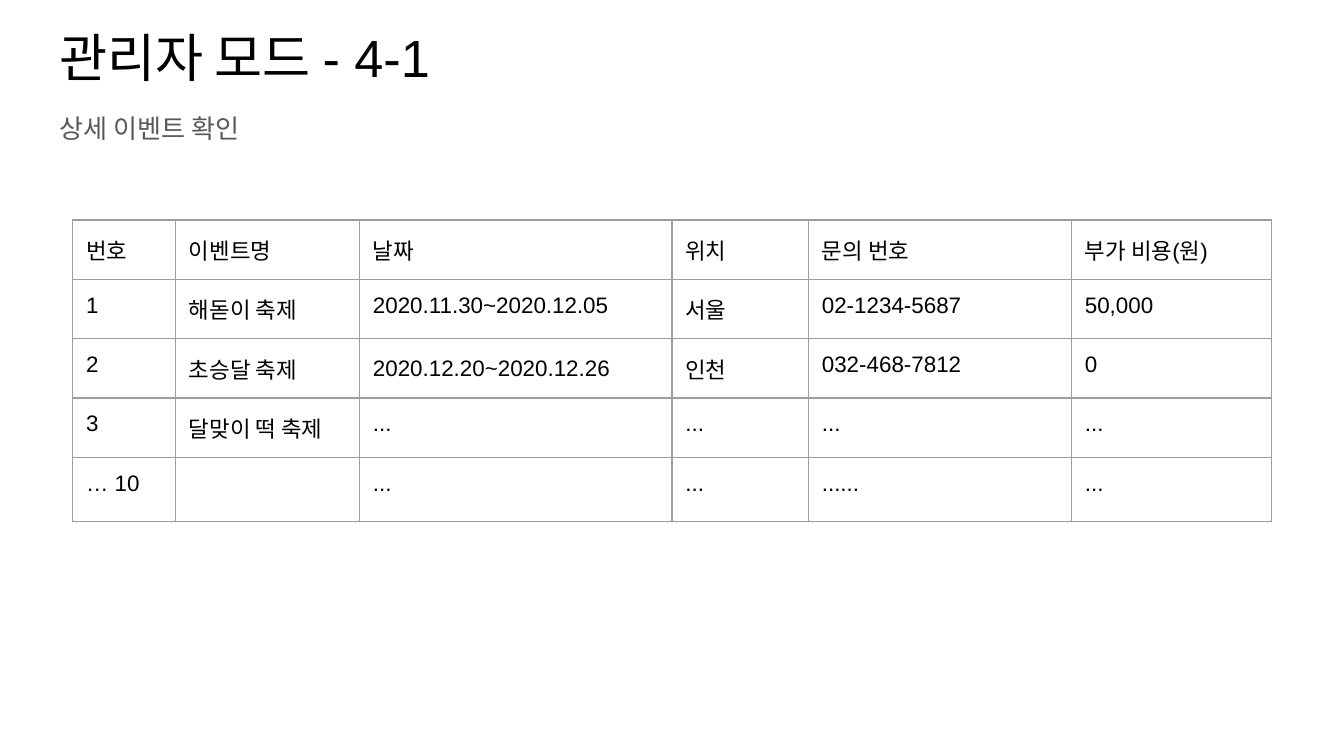
from dataclasses import dataclass

from lxml.etree import SubElement
from pptx import Presentation
from pptx.dml.color import RGBColor
from pptx.oxml.ns import qn
from pptx.util import Inches, Pt


@dataclass(frozen=True)
class Theme:
    font: str = "Arial"
    ink: str = "000000"
    muted: str = "595959"
    rule: str = "9E9E9E"
    rule_width: float = 0.75
    title_size: int = 28
    body_size: int = 14
    cell_size: int = 12
    inset: float = 0.1


def write(tf, text, *, font, size, color, spacing=None):
    p = tf.paragraphs[0]
    if spacing:
        p.line_spacing = spacing
    if not text:
        SubElement(p._p, qn("a:endParaRPr"), sz=str(size * 100))
        return
    r = p.add_run()
    r.text = text
    r.font.name = font
    r.font.size = Pt(size)
    r.font.color.rgb = RGBColor.from_string(color)


class Deck:
    def __init__(self, theme, width, height):
        self.theme = theme
        self.prs = Presentation()
        self.prs.slide_width = Inches(width)
        self.prs.slide_height = Inches(height)
        self.s = self.prs.slides.add_slide(self.prs.slide_layouts[6])

    def x(self, share):
        return round(self.prs.slide_width * share / 100)

    def y(self, share):
        return round(self.prs.slide_height * share / 100)

    def inset(self, target):
        for side in ("left", "right", "top", "bottom"):
            setattr(target, f"margin_{side}", Inches(self.theme.inset))

    def text(self, text, left, top, width, height, **style):
        sp = self.s.shapes.add_textbox(self.x(left), self.y(top), self.x(width), self.y(height))
        tf = sp.text_frame
        tf.word_wrap = True
        self.inset(tf)
        write(tf, text, font=self.theme.font, **style)

    def border(self, cell):
        tc_pr = cell._tc.get_or_add_tcPr()
        for side in ("lnL", "lnR", "lnT", "lnB"):
            ln = SubElement(tc_pr, qn(f"a:{side}"), w=str(Pt(self.theme.rule_width)))
            fill = SubElement(ln, qn("a:solidFill"))
            SubElement(fill, qn("a:srgbClr"), val=self.theme.rule)

    def table(self, rows, left, top, widths, heights, spacings):
        frame = self.s.shapes.add_table(
            len(rows), len(widths), self.x(left), self.y(top),
            self.x(sum(widths)), self.y(sum(heights)))
        table = frame.table
        table.first_row = table.horz_banding = False
        for column, width in zip(table.columns, widths):
            column.width = self.x(width)
        for i, (row, height) in enumerate(zip(rows, heights)):
            table.rows[i].height = self.y(height)
            for j, text in enumerate(row):
                cell = table.cell(i, j)
                self.inset(cell)
                self.border(cell)
                cell.fill.background()
                write(cell.text_frame, text, font=self.theme.font,
                      size=self.theme.cell_size, color=self.theme.ink,
                      spacing=spacings.get((i, j)))


EVENTS = [
    ("번호", "이벤트명", "날짜", "위치", "문의 번호", "부가 비용(원)"),
    ("1", "해돋이 축제", "2020.11.30~2020.12.05", "서울", "02-1234-5687", "50,000"),
    ("2", "초승달 축제", "2020.12.20~2020.12.26", "인천", "032-468-7812", "0"),
    ("3", "달맞이 떡 축제", "...", "...", "...", "..."),
    ("… 10", "", "...", "...", "......", "..."),
]


def main():
    theme = Theme()
    deck = Deck(theme, 10, 10 * 9 / 16)
    deck.text("관리자 모드 - 4-1", 3.41, 1.6, 93.2, 11.2,
              size=theme.title_size, color=theme.ink)
    deck.text("상세 이벤트 확인", 3.41, 14.6, 90.8, 76.7,
              size=theme.body_size, color=theme.muted, spacing=0.7)
    deck.table(EVENTS, 5.4, 29.1, (7.66, 13.69, 23.25, 10.16, 19.57, 14.88),
               [7.85] * 4 + [8.45], spacings={(2, 2): 1.15})
    deck.prs.save("out.pptx")


if __name__ == "__main__":
    main()
